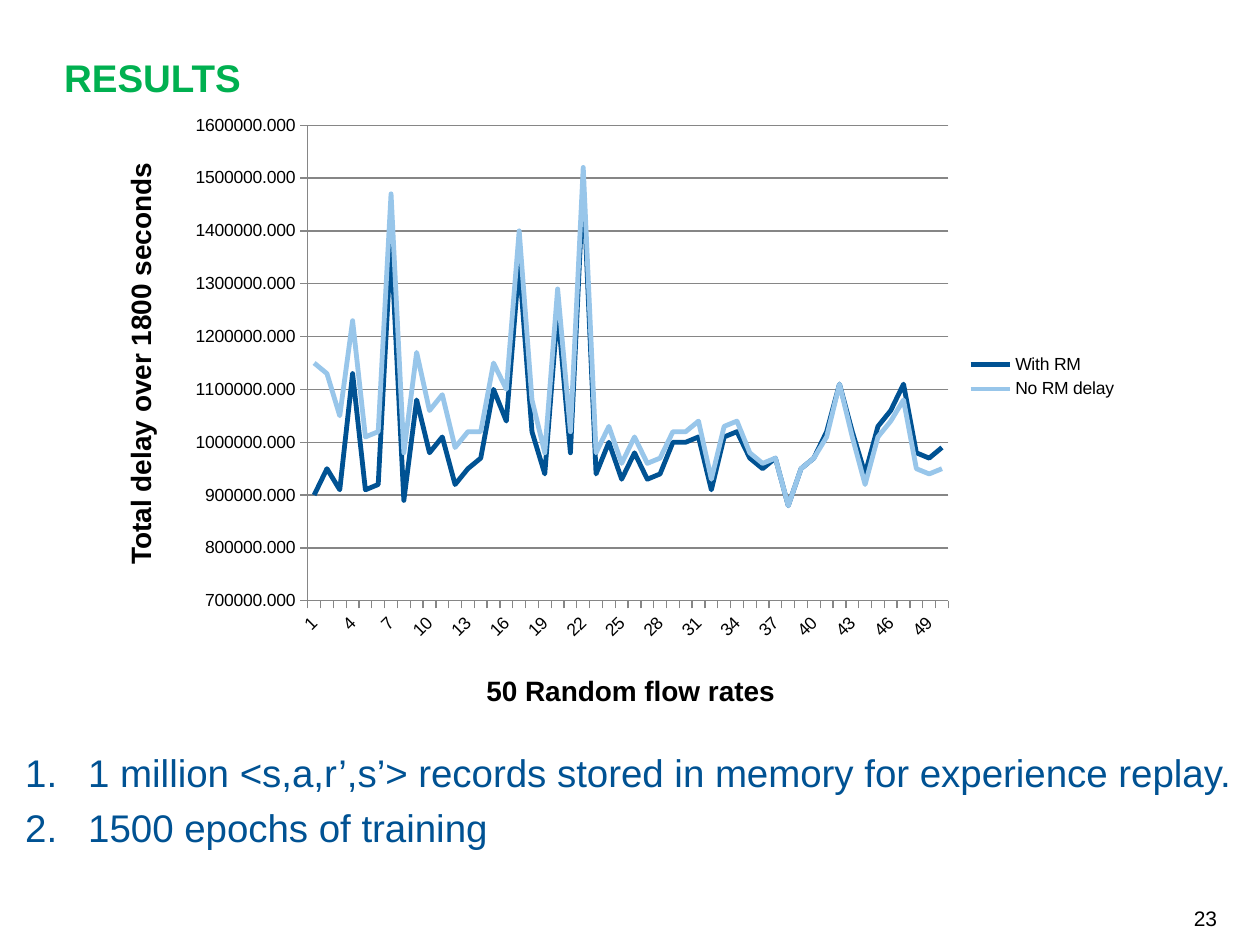
from pptx import Presentation
from pptx.chart.data import CategoryChartData as ChartData
from pptx.dml.color import RGBColor
from pptx.enum.chart import XL_CHART_TYPE as Chart, XL_LEGEND_POSITION as Legend, XL_TICK_MARK as Tick
from pptx.enum.text import MSO_ANCHOR as Anchor, MSO_AUTO_SIZE as AutoSize, PP_ALIGN as Align
from pptx.oxml import parse_xml
from pptx.oxml.ns import nsdecls, qn
from pptx.util import Inches, Pt

BLACK, GREEN, BLUE, PALE, GRAY = "000000", "00B050", "005293", "98C6EA", "868686"

WITH_RM = [90, 95, 91, 113, 91, 92, 138, 89, 108, 98, 101, 92, 95, 97, 110, 104, 134, 102, 94, 125,
           98, 149, 94, 100, 93, 98, 93, 94, 100, 100, 101, 91, 101, 102, 97, 95, 97, 88, 95, 97,
           102, 111, 102, 94, 103, 106, 111, 98, 97, 99]
NO_RM = [115, 113, 105, 123, 101, 102, 147, 98, 117, 106, 109, 99, 102, 102, 115, 110, 140, 108, 98, 129,
         102, 152, 98, 103, 96, 101, 96, 97, 102, 102, 104, 93, 103, 104, 98, 96, 97, 88, 95, 97,
         101, 111, 101, 92, 101, 104, 108, 95, 94, 95]
DELAY_STEP = 10000


def color(hex_code):
    return RGBColor.from_string(hex_code)


def assign(target, values):
    for name, value in values.items():
        setattr(target, name, value)


class SlideBuilder:
    font = "Arial"
    columns, rows = 100, 75

    def __init__(self, deck):
        self.deck = deck
        self.slide = deck.slides.add_slide(deck.slide_layouts[1])

    def box(self, left, top, width, height):
        column = self.deck.slide_width / self.columns
        row = self.deck.slide_height / self.rows
        return [int(left * column), int(top * row), int(width * column), int(height * row)]

    def fill_text(self, shape, lines, size, ink, bold=False, anchor=Anchor.TOP, **paragraph_format):
        frame = shape.text_frame
        assign(frame, dict(word_wrap=True, auto_size=AutoSize.NONE, vertical_anchor=anchor,
                           margin_left=0, margin_top=0, margin_right=0, margin_bottom=0))
        frame.text = "\n".join(lines)
        layout = dict(alignment=Align.LEFT, line_spacing=1.14, space_before=Pt(0)) | paragraph_format
        for paragraph in frame.paragraphs:
            assign(paragraph, layout)
            for run in paragraph.runs:
                assign(run.font, dict(name=self.font, size=Pt(size), bold=bold))
                run.font.color.rgb = color(ink)

    def place(self, shape, area):
        assign(shape, dict(zip(("left", "top", "width", "height"), self.box(*area))))

    def title(self, area, words):
        heading = self.slide.shapes.title
        self.place(heading, area)
        self.fill_text(heading, [words], 22, GREEN, bold=True, line_spacing=1.25, space_before=Pt(2))

    def numbered_list(self, area, lines):
        body = self.slide.placeholders[1]
        self.place(body, area)
        self.fill_text(body, lines, 22, BLUE, space_before=Pt(1.5))
        for paragraph in body.text_frame.paragraphs:
            properties = paragraph._p.get_or_add_pPr()
            properties.set("marL", str(Inches(0.5)))
            properties.set("indent", str(-Inches(0.5)))
            properties.append(parse_xml(f'<a:buFont {nsdecls("a")} typeface="+mj-lt"/>'))
            properties.append(parse_xml(f'<a:buAutoNum {nsdecls("a")} type="arabicPeriod"/>'))

    def label(self, area, words, size=16, bold=True, upward=False, **text_format):
        caption = self.slide.shapes.add_textbox(*self.box(*area))
        self.fill_text(caption, [words], size, BLACK, bold, **text_format)
        if upward:
            caption.text_frame._txBody.bodyPr.set("vert", "vert270")

    def line_chart(self, area, series, plot_share):
        data = ChartData(number_format="0.000")
        data.categories = [str(flow) for flow in range(1, 51)]
        for name, (delays, _) in series.items():
            data.add_series(name, [delay * DELAY_STEP for delay in delays])
        chart = self.slide.shapes.add_chart(Chart.LINE, *self.box(*area), data).chart
        assign(chart, dict(has_title=False, has_legend=True))
        assign(chart.font, dict(name=self.font, size=Pt(10)))
        chart.font.color.rgb = color(BLACK)
        assign(chart.legend, dict(position=Legend.RIGHT, include_in_layout=False))
        plot = chart.plots[0]
        plot.vary_by_categories = False
        for line, (_, ink) in zip(plot.series, series.values()):
            line.smooth = False
            line.format.line.width = Pt(2.75)
            line.format.line.color.rgb = color(ink)
        self.axes(chart)
        self.plot_area(chart, plot_share)

    def axes(self, chart):
        delay, flow = chart.value_axis, chart.category_axis
        assign(delay, dict(minimum_scale=700000, maximum_scale=1600000, major_unit=100000,
                           has_major_gridlines=True))
        assign(delay.tick_labels, dict(number_format="0.000", number_format_is_linked=False))
        flow.tick_labels.font.size = Pt(10)
        flow._element.find(qn("c:txPr")).find(qn("a:bodyPr")).set("rot", "-2700000")
        no_multi_level = flow._element.find(qn("c:noMultiLvlLbl"))
        no_multi_level.addprevious(parse_xml(f'<c:tickLblSkip {nsdecls("c")} val="3"/>'))
        for axis in (delay, flow):
            assign(axis, dict(major_tick_mark=Tick.OUTSIDE, minor_tick_mark=Tick.NONE))
        for rule in (delay, flow, delay.major_gridlines):
            rule.format.line.width = Pt(0.75)
            rule.format.line.color.rgb = color(GRAY)

    def plot_area(self, chart, share):
        area = chart._chartSpace.chart.plotArea
        for automatic in area.findall(qn("c:layout")):
            area.remove(automatic)
        modes = '<c:layoutTarget val="inner"/><c:xMode val="edge"/><c:yMode val="edge"/>'
        sizes = "".join(f'<c:{side} val="{value}"/>' for side, value in zip("xywh", share))
        area.insert(0, parse_xml(f'<c:layout {nsdecls("c")}><c:manualLayout>{modes}{sizes}'
                                 '</c:manualLayout></c:layout>'))


def main():
    deck = Presentation()
    assign(deck, dict(slide_width=Inches(10), slide_height=Inches(7.5)))
    results = SlideBuilder(deck)
    results.line_chart((13.8, 8.2, 75.9, 43.4),
                       {"With RM": (WITH_RM, BLUE), "No RM delay": (NO_RM, PALE)},
                       (0.14, 0.04, 0.67, 0.87))
    results.title((5.1, 3.4, 93.1, 3.9), "RESULTS")
    results.label((24.1, 53.1, 51.9, 2.8), "50 Random flow rates", alignment=Align.CENTER)
    results.label((9.4, 8.3, 3.1, 36.5), "Total delay over 1800 seconds", upward=True)
    results.numbered_list((2, 58.9, 98, 12.3),
                          ["1 million <s,a,r’,s’> records stored in memory for experience replay.",
                           "1500 epochs of training"])
    results.label((84.4, 71.8, 12.2, 2.1), "23", size=12, bold=False,
                  anchor=Anchor.BOTTOM, alignment=Align.RIGHT)
    deck.save("out.pptx")


if __name__ == "__main__":
    main()
